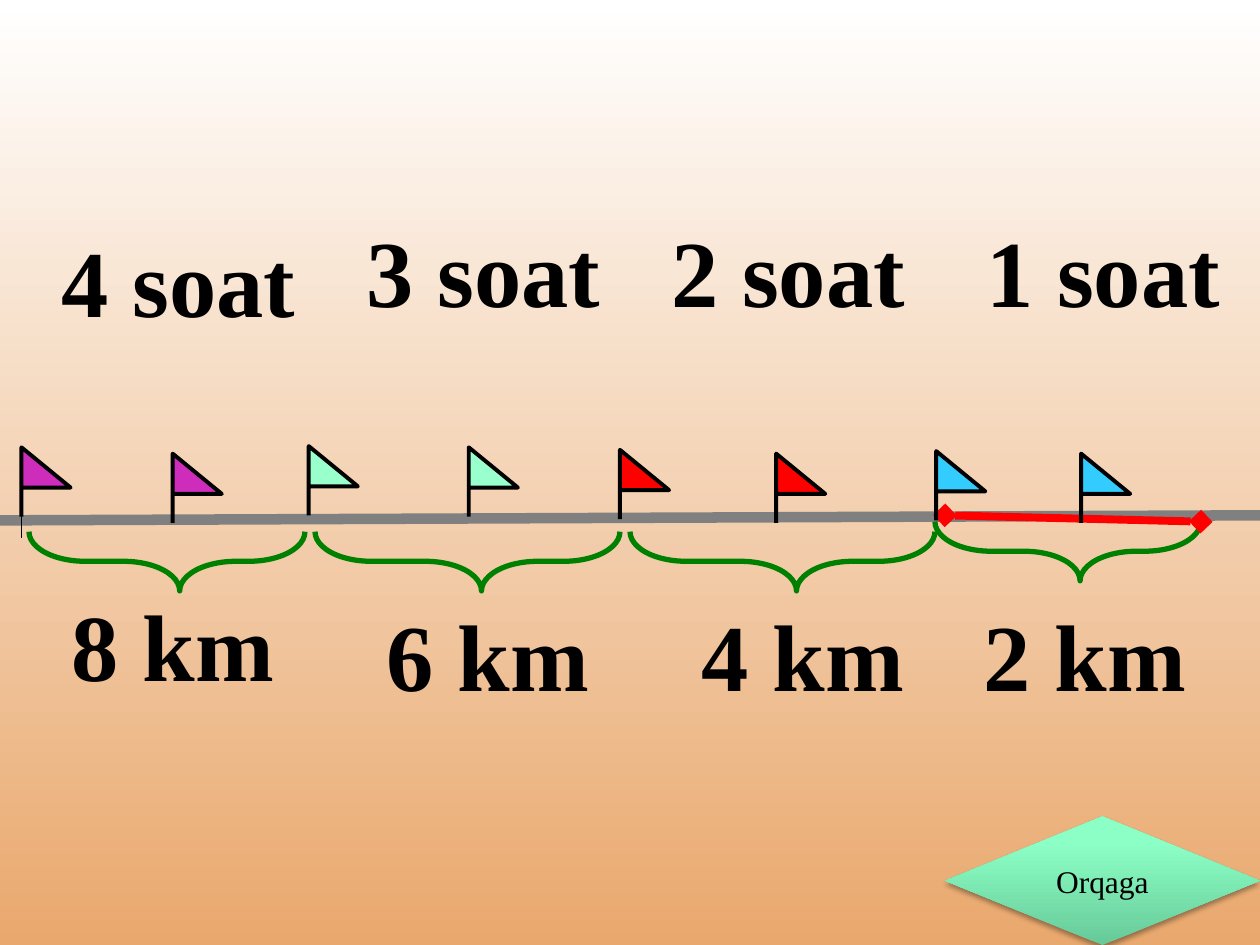
from copy import deepcopy
from lxml.etree import SubElement
from pptx import Presentation
from pptx.dml.color import RGBColor
from pptx.enum.shapes import MSO_CONNECTOR, MSO_SHAPE
from pptx.enum.text import MSO_ANCHOR, MSO_AUTO_SIZE, PP_ALIGN
from pptx.oxml.ns import qn
from pptx.util import Inches, Pt

COLORS = {
    "white": "FFFFFF", "sand": "E9A86D", "road": "808080", "black": "000000",
    "brace": "008000", "red": "FF0000", "purple": "CE2CBB", "mint": "99FFCC",
    "blue": "33CCFF", "deep": "67CA98", "light": "8CFFC6", "pale": "8EFFC7",
}
FONT = "Times New Roman"


def color(name):
    return RGBColor.from_string(COLORS[name])


def set_line(shape, name, width):
    shape.line.color.rgb = color(name)
    shape.line.width = Pt(width)


def add_run(frame, text, size, bold=False):
    run = frame.paragraphs[0].add_run()
    run.text = text
    run.font.name = FONT
    run.font.size = Pt(size)
    run.font.bold = bold
    run.font.color.rgb = color("black")


def add_line(slide, start, end, name, width, ends=None):
    points = [Inches(v) for v in (*start, *end)]
    line = slide.shapes.add_connector(MSO_CONNECTOR.STRAIGHT, *points)
    set_line(line, name, width)
    props = line._element.spPr
    SubElement(props, qn("a:effectLst"))
    if ends:
        for tag in ("a:headEnd", "a:tailEnd"):
            SubElement(line.line._get_or_add_ln(), qn(tag), type=ends)


def add_label(slide, text, left, top, width):
    box = slide.shapes.add_textbox(Inches(left), Inches(top), Inches(width), Inches(1.01))
    frame = box.text_frame
    frame.word_wrap = False
    frame.auto_size = MSO_AUTO_SIZE.SHAPE_TO_FIT_TEXT
    add_run(frame, text, 54, True)


def add_brace(slide, left, top, span):
    depth = 0.47
    shape = slide.shapes.add_shape(
        MSO_SHAPE.RIGHT_BRACE,
        Inches(left + (span - depth) / 2), Inches(top - (span - depth) / 2),
        Inches(depth), Inches(span))
    shape.rotation = 90
    shape.adjustments[0] = 0.947
    shape.adjustments[1] = 0.454
    shape.shadow.inherit = False
    shape.fill.background()
    set_line(shape, "brace", 3)


def add_flag(slide, left, top, name):
    def point(dx, dy):
        return Inches(left + dx), Inches(top + dy)

    path = slide.shapes.build_freeform(*point(0, 0.32))
    path.add_line_segments([point(0.39, 0.32), point(0, 0), point(0, 0.55)], close=False)
    flag = path.convert_to_shape()
    flag.shadow.inherit = False
    flag.fill.solid()
    flag.fill.fore_color.rgb = color(name)
    set_line(flag, "black", 2.25)


def set_fade(fill, angle, names):
    fill.gradient()
    fill.gradient_angle = angle
    for stop, name in zip(fill.gradient_stops, names):
        stop.color.rgb = color(name)


def add_button(slide, text, left, top, width, height):
    shape = slide.shapes.add_shape(
        MSO_SHAPE.DIAMOND, Inches(left), Inches(top), Inches(width), Inches(height))
    shape.line.fill.background()
    set_fade(shape.fill, 90, ("deep", "pale"))
    props = shape._element.spPr
    stops = props.find(qn("a:gradFill")).find(qn("a:gsLst"))
    stops.insert(1, deepcopy(stops[0]))
    middle = shape.fill.gradient_stops[1]
    middle.position = 0.8
    middle.color.rgb = color("light")
    shape.shadow.inherit = False
    shade = SubElement(props.find(qn("a:effectLst")), qn("a:outerShdw"),
                       blurRad=str(Pt(3.1)), dist=str(Pt(1.8)), dir="5400000", rotWithShape="0")
    tint = SubElement(shade, qn("a:srgbClr"), val=COLORS["black"])
    SubElement(tint, qn("a:alpha"), val="35000")
    frame = shape.text_frame
    frame.word_wrap = True
    frame.vertical_anchor = MSO_ANCHOR.MIDDLE
    frame.paragraphs[0].alignment = PP_ALIGN.CENTER
    add_run(frame, text, 18)


def add_road(slide):
    add_line(slide, (0, 4.13), (10, 4.09), "road", 6)
    for left, top, span in ((0.23, 4.22, 2.19), (2.5, 4.22, 2.42),
                            (5, 4.22, 2.42), (7.42, 4.14, 2.11)):
        add_brace(slide, left, top, span)
    add_line(slide, (9.53, 4.14), (7.5, 4.09), "red", 4.5, "diamond")
    add_line(slide, (0.17, 3.97), (0.17, 4.27), "black", 0.75)
    flags = (
        (0.17, 3.55, "purple"), (1.37, 3.6, "purple"),
        (2.45, 3.54, "mint"), (3.72, 3.55, "mint"),
        (4.92, 3.57, "red"), (6.16, 3.6, "red"),
        (7.43, 3.58, "blue"), (8.58, 3.6, "blue"),
    )
    for left, top, name in flags:
        add_flag(slide, left, top, name)


def add_labels(slide):
    times = ((0.39, 1.72), (2.81, 1.64), (5.23, 1.64), (7.73, 1.64))
    roads = ((0.47, 4.61), (2.97, 4.69), (5.47, 4.69), (7.71, 4.69))
    for hours, time, road in zip((4, 3, 2, 1), times, roads):
        add_label(slide, f"{hours} soat", *time, 2.07)
        add_label(slide, f"{hours * 2} km", *road, 1.82)


def main():
    deck = Presentation()
    deck.slide_width, deck.slide_height = Inches(10), Inches(7.5)
    slide = deck.slides.add_slide(deck.slide_layouts[6])
    set_fade(slide.background.fill, 270, ("white", "sand"))
    add_road(slide)
    add_labels(slide)
    add_button(slide, "Orqaga", 7.5, 6.48, 2.5, 1.02)
    deck.save("out.pptx")


if __name__ == "__main__":
    main()
